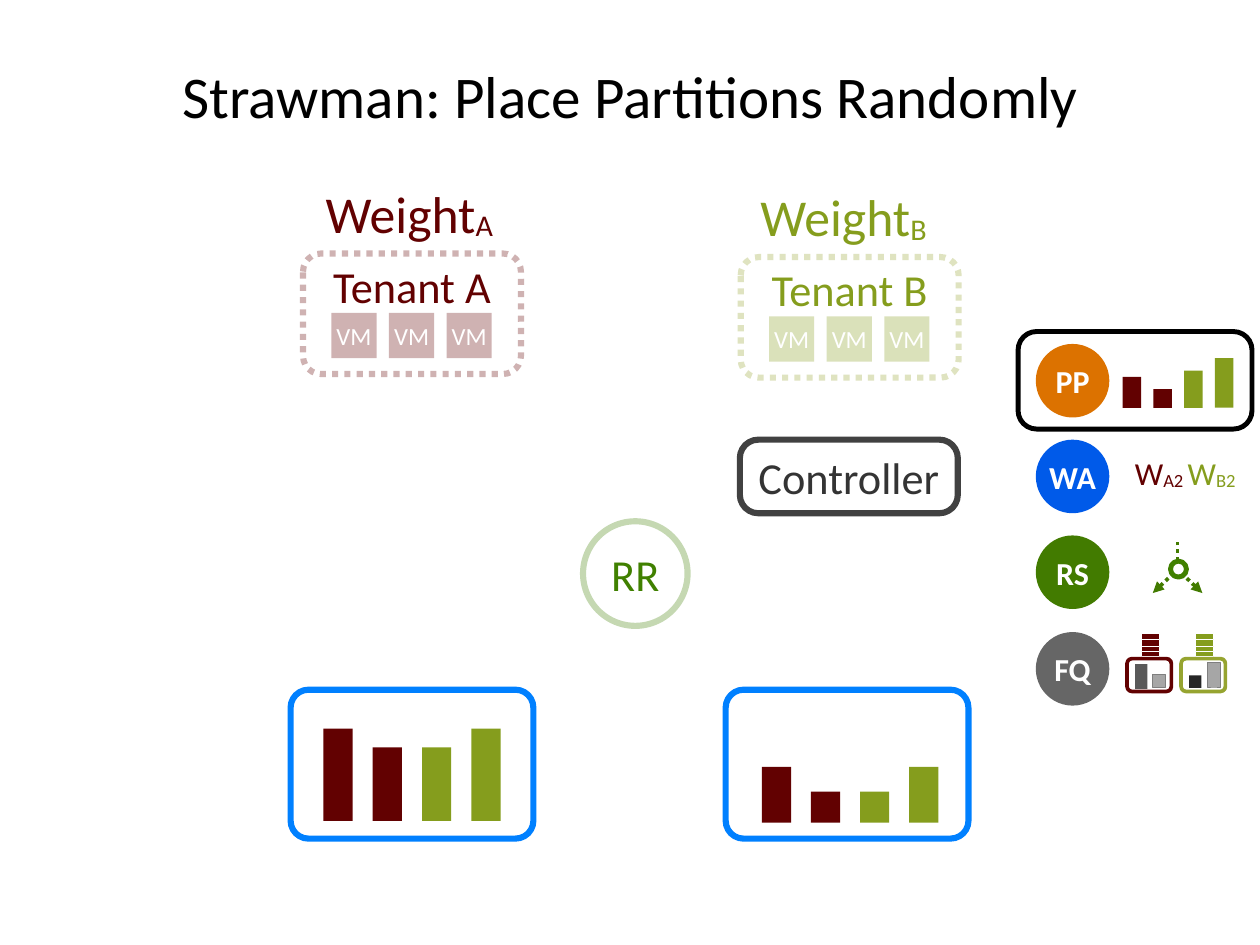
from lxml.etree import SubElement
from pptx import Presentation
from pptx.dml.color import RGBColor
from pptx.enum.dml import MSO_LINE
from pptx.enum.shapes import MSO_CONNECTOR, MSO_SHAPE
from pptx.enum.text import MSO_ANCHOR, MSO_AUTO_SIZE, PP_ALIGN
from pptx.oxml.ns import qn
from pptx.util import Pt

PX = 9144
FONT = "Calibri"
RECTANGLE, ROUNDED, ELLIPSE = MSO_SHAPE.RECTANGLE, MSO_SHAPE.ROUNDED_RECTANGLE, MSO_SHAPE.OVAL

WHITE = RGBColor(0xFF, 0xFF, 0xFF)
BLACK = RGBColor(0x00, 0x00, 0x00)
MAROON = RGBColor(0x62, 0x01, 0x01)
OLIVE = RGBColor(0x85, 0x9D, 0x1D)
LIGHT_OLIVE = RGBColor(0x96, 0xA4, 0x30)
BLUE = RGBColor(0x00, 0x80, 0xFF)
ROYAL_BLUE = RGBColor(0x00, 0x5A, 0xE9)
ORANGE = RGBColor(0xDC, 0x72, 0x00)
GREEN = RGBColor(0x40, 0x80, 0x00)
DARK_GREEN = RGBColor(0x42, 0x7B, 0x00)
GRAY = RGBColor(0x66, 0x66, 0x66)
CONTROLLER_LINE = RGBColor(0x41, 0x41, 0x41)
CONTROLLER_TEXT = RGBColor(0x34, 0x34, 0x34)
BAR_DARK = RGBColor(0x59, 0x59, 0x59)
BAR_BLACK = RGBColor(0x26, 0x26, 0x26)
BAR_LIGHT = RGBColor(0xA6, 0xA6, 0xA6)
BAR_EDGE = RGBColor(0x7F, 0x7F, 0x7F)

TITLE = "Strawman: Place Partitions Randomly"
TENANTS = [
    # name, left, top, weight left, text colour, outline colour
    ("A", 342, 286, 346, MAROON, MAROON),
    ("B", 836, 290, 836, OLIVE, LIGHT_OLIVE),
]
SERVER_LEFTS = [328, 819]
PARTITION_COLORS = [MAROON, MAROON, OLIVE, OLIVE]
PARTITION_BARS = [
    (365, 532, 926, 33, [104, 83, 83, 104]),
    (860, 1026, 928, 33, [63, 35, 35, 63]),
    (1267, 1371, 460, 21, [35, 21, 42, 56]),
]
MECHANISMS = [("PP", 388, ORANGE), ("WA", 496, ROYAL_BLUE), ("RS", 604, DARK_GREEN), ("FQ", 713, GRAY)]
REPLICA_LINES = [
    ((1301, 669), (1321, 650), True),
    ((1357, 669), (1337, 650), True),
    ((1329, 632), (1329, 611), False),
]
QUEUES = [
    # left, queue colour, box colour, bars as (left, top, height, fill, edge)
    (1272, MAROON, MAROON, [(1281, 749, 28, BAR_DARK, None), (1301, 761, 14, BAR_LIGHT, BAR_EDGE)]),
    (1333, OLIVE, LIGHT_OLIVE, [(1342, 762, 14, BAR_BLACK, None), (1363, 747, 28, BAR_LIGHT, BAR_EDGE)]),
]
QUEUE_LAYERS = [(714, 28), (721, 20), (729, 6)]


def px(*lengths):
    return [round(length * PX) for length in lengths]


def fade(shape, query, percent):
    for color in shape._element.spPr.xpath(query):
        SubElement(color, qn("a:alpha")).set("val", str(percent * 1000))


def write(shape, runs, size, anchor=MSO_ANCHOR.MIDDLE, bold=False, wrap=False):
    frame = shape.text_frame
    frame.margin_left = frame.margin_right = frame.margin_top = frame.margin_bottom = 0
    frame.auto_size = MSO_AUTO_SIZE.NONE
    frame.word_wrap = wrap
    frame.vertical_anchor = anchor
    paragraph = frame.paragraphs[0]
    paragraph.alignment = PP_ALIGN.CENTER
    for text, color, subscript in runs:
        run = paragraph.add_run()
        run.text = text
        run.font.name, run.font.size, run.font.bold = FONT, Pt(size), bold
        run.font.color.rgb = color
        if subscript:
            run.font._element.set("baseline", "-6000")


def draw(kind, box, fill=None, line=None, width=1, corner=None, dotted=False,
         fill_alpha=None, line_alpha=None):
    shape = slide.shapes.add_shape(kind, *px(*box))
    shape.shadow.inherit = False
    if corner is not None:
        shape.adjustments[0] = corner
    if fill is None:
        shape.fill.background()
    else:
        shape.fill.solid()
        shape.fill.fore_color.rgb = fill
    if line is None:
        shape.line.fill.background()
    else:
        shape.line.color.rgb = line
        shape.line.width = Pt(width)
        if dotted:
            shape.line.dash_style = MSO_LINE.ROUND_DOT
    if fill_alpha:
        fade(shape, "./a:solidFill/a:srgbClr", fill_alpha)
    if line_alpha:
        fade(shape, "./a:ln/a:solidFill/a:srgbClr", line_alpha)
    return shape


def draw_label(box, runs, size):
    write(slide.shapes.add_textbox(*px(*box)), runs, size)


def draw_partitions(first, last, bottom, width, heights):
    step = (last - first) / (len(heights) - 1)
    for index, (height, color) in enumerate(zip(heights, PARTITION_COLORS)):
        draw(RECTANGLE, (first + index * step, bottom - height, width, height), color)


def draw_tenant(name, left, top, weight_left, color, outline):
    tenant = draw(ROUNDED, (left, top, 246, 136), WHITE, outline, 5, 0.15, True, 30, 30)
    write(tenant, [(f"Tenant {name}", color, False)], 36, MSO_ANCHOR.TOP)
    for index in range(3):
        machine = draw(RECTANGLE, (left + 32 + 65 * index, top + 67, 51, 51), color, fill_alpha=30)
        write(machine, [("VM", WHITE, False)], 20)
    draw_label((weight_left, top - 81, 232, 70), [("Weight", color, False), (name, color, True)], 42)


def draw_replica_line(start, end, arrow):
    connector = slide.shapes.add_connector(MSO_CONNECTOR.STRAIGHT, *px(*start, *end))
    connector.line.color.rgb = DARK_GREEN
    connector.line.width = Pt(3)
    connector.line.dash_style = MSO_LINE.ROUND_DOT
    if arrow:
        SubElement(connector.line._get_or_add_ln(), qn("a:headEnd")).set("type", "triangle")
    SubElement(connector._element.spPr, qn("a:effectLst"))


def draw_queue(left, color, outline, bars):
    for top, height in QUEUE_LAYERS:
        draw(RECTANGLE, (left + 16, top, 21, height), color, WHITE, 1)
    for bar_left, top, height, fill, edge in bars:
        draw(RECTANGLE, (bar_left, top, 14, height), fill, edge, 0.75)
    draw(ROUNDED, (left, 743, 50, 37), None, outline, 3, 0.15)


presentation = Presentation()
presentation.slide_width, presentation.slide_height = px(1422, 1066)
slide = presentation.slides.add_slide(presentation.slide_layouts[5])

title = slide.shapes.title
title.left, title.top, title.width, title.height = px(31, 38, 1361, 137)
write(title, [(TITLE, BLACK, False)], 48, wrap=True)

for server_left in SERVER_LEFTS:
    draw(ROUNDED, (server_left, 778, 274, 168), None, BLUE, 5, 0.12)
for tenant_data in TENANTS:
    draw_tenant(*tenant_data)
draw(ROUNDED, (1149, 374, 264, 110), None, BLACK, 4, 0.19)
for partition_data in PARTITION_BARS:
    draw_partitions(*partition_data)

for name, top, color in MECHANISMS:
    write(draw(ELLIPSE, (1169, top, 83, 83), color), [(name, WHITE, False)], 26, bold=True)
draw_label((1274, 512, 127, 43), [("W", MAROON, False), ("A2 ", MAROON, True),
                                  ("W", OLIVE, False), ("B2", OLIVE, True)], 26)
draw(ELLIPSE, (1321, 633, 18, 18), WHITE, GREEN, 4)
for line_data in REPLICA_LINES:
    draw_replica_line(*line_data)
for queue_data in QUEUES:
    draw_queue(*queue_data)

controller = draw(ROUNDED, (835, 496, 246, 83), None, CONTROLLER_LINE, 5, 0.25)
write(controller, [("Controller", CONTROLLER_TEXT, False)], 36)
router = draw(ELLIPSE, (658, 588, 118, 118), WHITE, GREEN, 5, fill_alpha=30, line_alpha=30)
write(router, [("RR", GREEN, False)], 36)

presentation.save("out.pptx")
